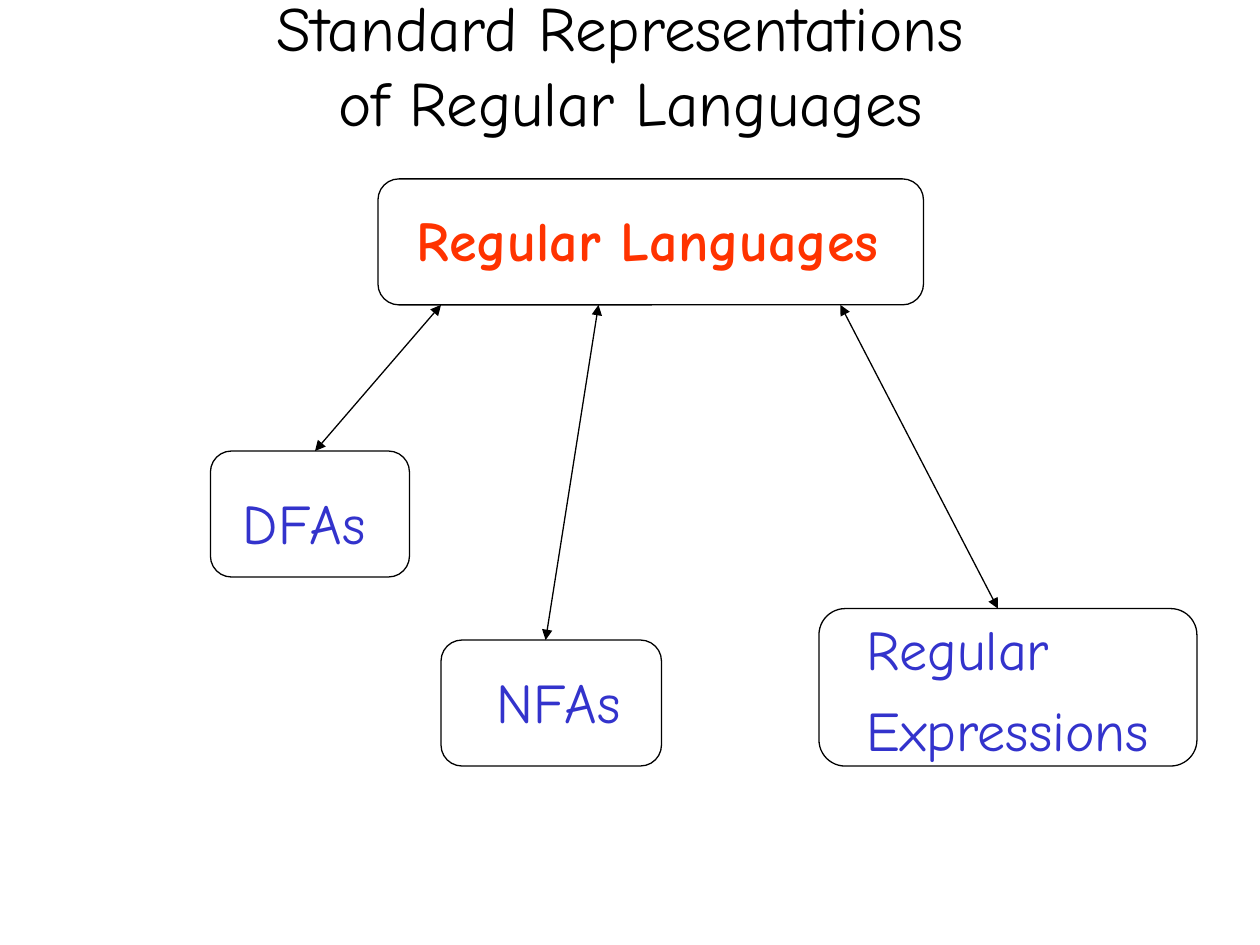
import pptx
import pptx.util
import pptx.dml.color
import pptx.enum.shapes
import pptx.enum.text
import pptx.oxml.ns
from lxml import etree

Inches, Pt = pptx.util.Inches, pptx.util.Pt
RGBColor = pptx.dml.color.RGBColor
BLACK = RGBColor(0x00, 0x00, 0x00)
RED = RGBColor(0xFF, 0x33, 0x00)
BLUE = RGBColor(0x33, 0x33, 0xCC)
FONT = "Comic Neue"

# Content: lengths are inches
TITLE = "Standard Representations \vof Regular Languages"
NODES = [  # lines, colour, bold, label box, outline box
    (["Regular Languages"], RED, True, (3.21, 1.58, 3.87, 0.64), (3, 1.42, 4.33, 1)),
    (["DFAs"], BLUE, False, (1.83, 3.83, 1.18, 0.64), (1.67, 3.58, 1.58, 1)),
    (["NFAs"], BLUE, False, (3.84, 5.25, 1.19, 0.64), (3.5, 5.08, 1.75, 1)),
    (["Regular", "Expressions"], BLUE, False, (6.78, 4.83, 2.45, 1.28), (6.5, 4.83, 3, 1.25)),
]
ARROWS = [  # from the top node to each representation
    (3.5, 2.42, 2.5, 3.58),
    (4.75, 2.42, 4.33, 5.08),
    (6.67, 2.42, 7.92, 4.83),
]


def set_font(p, size, color, bold=False):
    p.font.name, p.font.size, p.font.bold = FONT, Pt(size), bold
    p.font.color.rgb = color


def add_label(s, lines, color, bold, box):
    tf = s.shapes.add_textbox(*map(Inches, box)).text_frame
    tf.word_wrap = False
    tf.auto_size = pptx.enum.text.MSO_AUTO_SIZE.SHAPE_TO_FIT_TEXT
    tf.text = "\n".join(lines)
    for i, p in enumerate(tf.paragraphs):
        if i:
            p.space_before = Pt(8)
        set_font(p, 32, color, bold)


def add_outline(s, box):
    sp = s.shapes.add_shape(pptx.enum.shapes.MSO_SHAPE.ROUNDED_RECTANGLE, *map(Inches, box))
    sp.shadow.inherit = False
    sp.fill.background()
    sp.line.color.rgb, sp.line.width = BLACK, Pt(0.75)


def add_double_arrow(s, ends):
    line = s.shapes.add_connector(pptx.enum.shapes.MSO_CONNECTOR.STRAIGHT, *map(Inches, ends))
    line.line.color.rgb, line.line.width = BLACK, Pt(0.75)
    ln = line.line._get_or_add_ln()
    for tag in ("a:headEnd", "a:tailEnd"):
        etree.SubElement(ln, pptx.oxml.ns.qn(tag), type="triangle")
    etree.SubElement(line._element.spPr, pptx.oxml.ns.qn("a:effectLst"))


prs = pptx.Presentation()
prs.slide_width, prs.slide_height = Inches(10), Inches(7.5)
s = prs.slides.add_slide(prs.slide_layouts[5])

# Title
title = s.shapes.title
title.left, title.top, title.width, title.height = map(Inches, (0.17, 0.17, 9.67, 0.67))
tf = title.text_frame
tf.text = TITLE
tf.auto_size = pptx.enum.text.MSO_AUTO_SIZE.NONE
tf.vertical_anchor = pptx.enum.text.MSO_ANCHOR.MIDDLE
tf.paragraphs[0].alignment = pptx.enum.text.PP_ALIGN.CENTER
set_font(tf.paragraphs[0], 36, BLACK)

# Labels, outlines and arrows
for lines, color, bold, label_box, _ in NODES:
    add_label(s, lines, color, bold, label_box)
for *_, outline_box in NODES:
    add_outline(s, outline_box)
for ends in ARROWS:
    add_double_arrow(s, ends)

prs.save("out.pptx")
